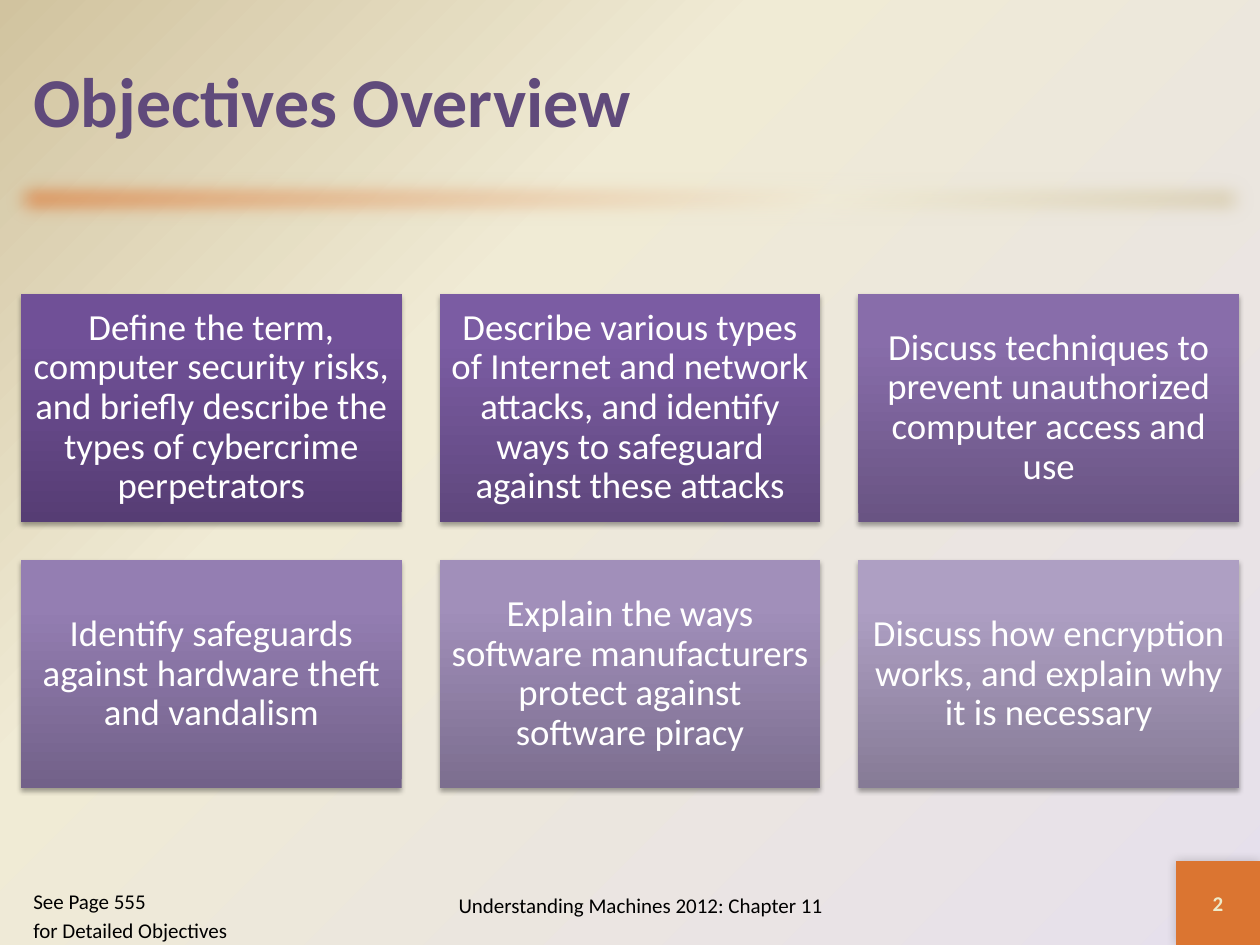
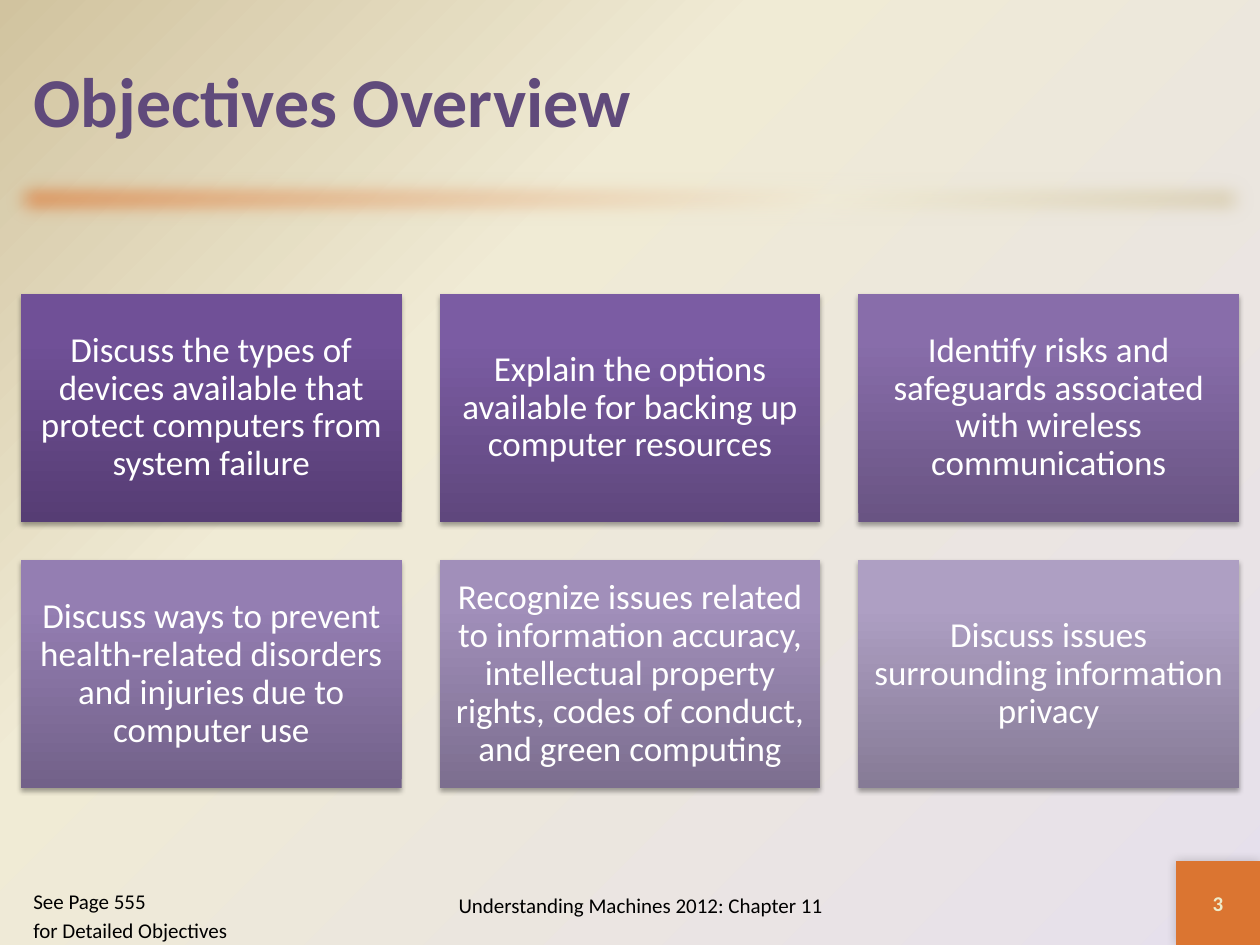
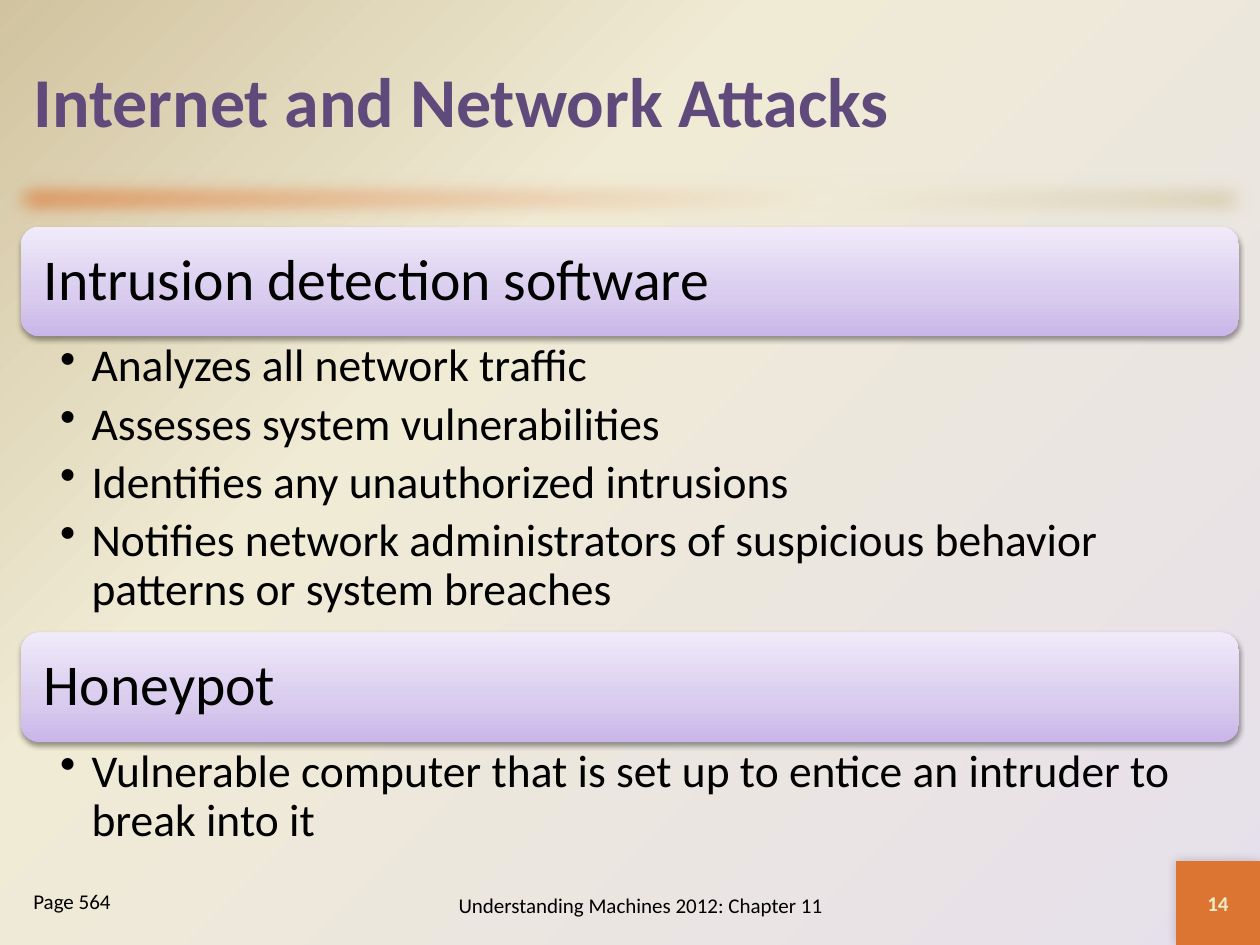
from dataclasses import dataclass

from lxml import etree
from pptx import Presentation
from pptx import util as u
from pptx.dml.color import RGBColor
from pptx.enum import shapes, text
from pptx.oxml.ns import qn

FOOTER = "Understanding Machines 2012: Chapter 11"

OBJECTIVE_SLIDES = [
    dict(title="Objectives Overview", number="2", size=21, inset=0.09,
         reference=["See Page 555", "for Detailed Objectives"],
         objectives=[
             "Define the term, computer security risks, and briefly describe the types of "
             "cybercrime perpetrators",
             "Describe various types of Internet and network attacks, and identify ways to "
             "safeguard against these attacks",
             "Discuss techniques to prevent unauthorized computer access and use",
             "Identify safeguards against hardware theft and vandalism",
             "Explain the ways software manufacturers protect against software piracy",
             "Discuss how encryption works, and explain why it is necessary",
         ]),
    dict(title="Objectives Overview", number="3", size=20, inset=0.08,
         reference=["See Page 555", "for Detailed Objectives"],
         objectives=[
             "Discuss the types of devices available that protect computers from system failure",
             "Explain the options available for backing up computer resources",
             "Identify risks and safeguards associated with wireless communications",
             "Discuss ways to prevent health-related disorders and injuries due to computer use",
             "Recognize issues related to information accuracy, intellectual property rights, "
             "codes of conduct, and green computing",
             "Discuss issues surrounding information privacy",
         ]),
]

TOPIC_SLIDE = dict(
    title="Internet and Network Attacks", number="14", reference=["Page 564"],
    topics=[
        ("Intrusion detection software", 2.35, [
            "Analyzes all network traffic",
            "Assesses system vulnerabilities",
            "Identifies any unauthorized intrusions",
            "Notifies network administrators of suspicious behavior patterns or system breaches",
        ]),
        ("Honeypot", 0.9, [
            "Vulnerable computer that is set up to entice an intruder to break into it",
        ]),
    ])


@dataclass(frozen=True)
class Theme:
    font: str = "Calibri"
    title: str = "604A7B"
    ink: str = "000000"
    white: str = "FFFFFF"
    accent: str = "DB7531"
    number: str = "EEEBCA"
    title_size: int = 40
    topic_size: int = 33
    bullet_size: int = 26
    footer_size: int = 12
    background: tuple = ((0, "E6E0EC"), (65, "F0EBD5"), (100, "D1C39F"))
    rule: tuple = ((0, "DB7531"), (65, "F0EBD5"), (100, "D1C39F"))
    topic: tuple = ((0, "C9B5E8"), (35, "D8CBEE"), (100, "F0EAF9"))
    cards: tuple = (
        ("563D74", "705097", "704F99"), ("5F477D", "7B5CA3", "7C5BA5"),
        ("695483", "886DAA", "886DAC"), ("726189", "947EB2", "957EB4"),
        ("7C6E8F", "A18FBA", "A18FBC"), ("867B96", "AE9FC3", "AE9FC4"))


THEME = Theme()
WIDTH, HEIGHT = 10, 7.5
MARGIN = WIDTH / 60
CONTENT = WIDTH - 2 * MARGIN
BADGE = WIDTH / 15
BADGE_BOX = (WIDTH - BADGE, HEIGHT - BADGE, BADGE, BADGE)
COLUMNS = 3
GAP_SHARE = 0.1
CARD_W = CONTENT / (COLUMNS + GAP_SHARE * (COLUMNS - 1))
CARD_H = 0.6 * CARD_W
CARD_GAP = GAP_SHARE * CARD_W
CARDS_TOP = 2.33
TOPICS_TOP, TOPIC_H = 1.8, 0.87
RECT = shapes.MSO_SHAPE.RECTANGLE
ROUNDED = shapes.MSO_SHAPE.ROUNDED_RECTANGLE
MIDDLE, TOP = text.MSO_ANCHOR.MIDDLE, text.MSO_ANCHOR.TOP
LEFT, CENTER = text.PP_ALIGN.LEFT, text.PP_ALIGN.CENTER


def inches(*lengths):
    return [u.Inches(length) for length in lengths]


def add_child(parent, tag, **attributes):
    child = etree.SubElement(parent, qn(tag))
    for key, value in attributes.items():
        child.set(key, str(value))
    return child


def paint_gradient(fill, element, stops, angle=None):
    """Give a fill its colour stops; without an angle they spread from the lower right corner."""
    fill.gradient()
    gradient = next(element.iter(qn("a:gradFill")))
    for child in list(gradient):
        gradient.remove(child)
    stop_list = add_child(gradient, "a:gsLst")
    for position, color in stops:
        stop = add_child(stop_list, "a:gs", pos=position * 1000)
        add_child(stop, "a:srgbClr", val=color)
    if angle is None:
        spread = add_child(gradient, "a:path", path="circle")
        add_child(spread, "a:fillToRect", l=100000, t=100000)
    else:
        add_child(gradient, "a:lin", ang=angle * 60000, scaled=0)


def add_block(slide, kind, box, fill, angle=270, shadow=None, soft_edge=None):
    """Add a shape; fill is a colour or stops, shadow is (opacity, blur, distance, direction)."""
    block = slide.shapes.add_shape(kind, *inches(*box))
    block.line.fill.background()
    if isinstance(fill, str):
        block.fill.solid()
        block.fill.fore_color.rgb = RGBColor.from_string(fill)
    else:
        paint_gradient(block.fill, block.element, fill, angle)
    block.shadow.inherit = False
    effects = next(block.element.iter(qn("a:effectLst")))
    if shadow:
        opacity, blur, distance, direction = shadow
        cast = add_child(effects, "a:outerShdw", blurRad=u.Pt(blur), dist=u.Pt(distance),
                         dir=direction * 60000, rotWithShape=0)
        add_child(add_child(cast, "a:srgbClr", val=THEME.ink), "a:alpha", val=opacity * 1000)
    if soft_edge:
        add_child(effects, "a:softEdge", rad=u.Pt(soft_edge))
    return block


def write(shape, *lines, size, color=THEME.ink, bold=False, align=LEFT, anchor=MIDDLE,
          insets=(0.1, 0.05, 0.1, 0.05), spacing=None, before=0, after=0, bullet=False):
    frame = shape.text_frame
    frame.word_wrap = True
    frame.auto_size = text.MSO_AUTO_SIZE.NONE
    frame.vertical_anchor = anchor
    (frame.margin_left, frame.margin_top,
     frame.margin_right, frame.margin_bottom) = inches(*insets)
    for index, line in enumerate(lines):
        paragraph = frame.add_paragraph() if index else frame.paragraphs[0]
        paragraph.text = line
        paragraph.alignment = align
        paragraph.line_spacing = spacing
        paragraph.space_before = u.Pt(before if index else 0)
        paragraph.space_after = u.Pt(after)
        if bullet:
            properties = paragraph._p.get_or_add_pPr()
            properties.set("marL", str(u.Inches(0.25)))
            properties.set("indent", str(-u.Inches(0.25)))
            add_child(properties, "a:buChar", char="•")
        font = paragraph.font
        font.name, font.size, font.bold = THEME.font, u.Pt(size), bold
        font.color.rgb = RGBColor.from_string(color)


def add_text(slide, box, *lines, **style):
    write(slide.shapes.add_textbox(*inches(*box)), *lines, **style)


def add_shared_parts(deck, layout, slide):
    """Put the background, rule and number badge behind every slide of the layout."""
    master = deck.slide_master
    paint_gradient(master.background.fill, master.element, THEME.background)
    rule = add_block(slide, RECT, (0, 1.33, WIDTH, 0.5), THEME.rule, angle=45, soft_edge=12.5)
    badge = add_block(slide, RECT, BADGE_BOX, THEME.accent, shadow=(20, 6, 0, 225))
    for part in (rule, badge):
        layout.shapes.element.append(part.element)


def add_frame(slide, content):
    """Fill in the title, footer, number and page reference."""
    title = slide.shapes.title
    title.left, title.top, title.width, title.height = inches(MARGIN, MARGIN, CONTENT, 1.25)
    write(title, content["title"], size=THEME.title_size, color=THEME.title, bold=True)
    small = THEME.footer_size
    add_text(slide, (3, 6.91, 4.17, 0.55), FOOTER, size=small, align=CENTER)
    add_text(slide, BADGE_BOX, content["number"], size=small, color=THEME.number,
             bold=True, align=CENTER)
    add_text(slide, (MARGIN, 7, 1.83, 0.5), *content["reference"], size=small,
             anchor=TOP, before=0.2 * small)


def add_objectives(slide, content):
    for index, (objective, colors) in enumerate(zip(content["objectives"], THEME.cards)):
        row, column = divmod(index, COLUMNS)
        box = (MARGIN + column * (CARD_W + CARD_GAP),
               CARDS_TOP + row * (CARD_H + CARD_GAP), CARD_W, CARD_H)
        card = add_block(slide, RECT, box, tuple(zip((0, 80, 100), colors)),
                         shadow=(35, 3.1, 1.8, 90))
        write(card, objective, size=content["size"], color=THEME.white, align=CENTER,
              insets=[content["inset"]] * 4, spacing=0.9)


def add_topics(slide, content):
    top = TOPICS_TOP
    for topic, details_height, details in content["topics"]:
        heading = add_block(slide, ROUNDED, (MARGIN, top, CONTENT, TOPIC_H), THEME.topic,
                            shadow=(38, 3.1, 1.6, 90))
        write(heading, topic, size=THEME.topic_size, insets=[0.14] * 4, spacing=0.9)
        top += TOPIC_H
        add_text(slide, (MARGIN, top, CONTENT, details_height), *details,
                 size=THEME.bullet_size, anchor=TOP, insets=(0.31, 0.05, 0.26, 0.05),
                 spacing=0.9, after=0.2 * THEME.bullet_size, bullet=True)
        top += details_height


def main():
    deck = Presentation()
    deck.slide_width, deck.slide_height = inches(WIDTH, HEIGHT)
    layout = deck.slide_layouts[5]
    for index, content in enumerate([*OBJECTIVE_SLIDES, TOPIC_SLIDE]):
        slide = deck.slides.add_slide(layout)
        if index == 0:
            add_shared_parts(deck, layout, slide)
        add_frame(slide, content)
        if "objectives" in content:
            add_objectives(slide, content)
        else:
            add_topics(slide, content)
    deck.save("out.pptx")


if __name__ == "__main__":
    main()
